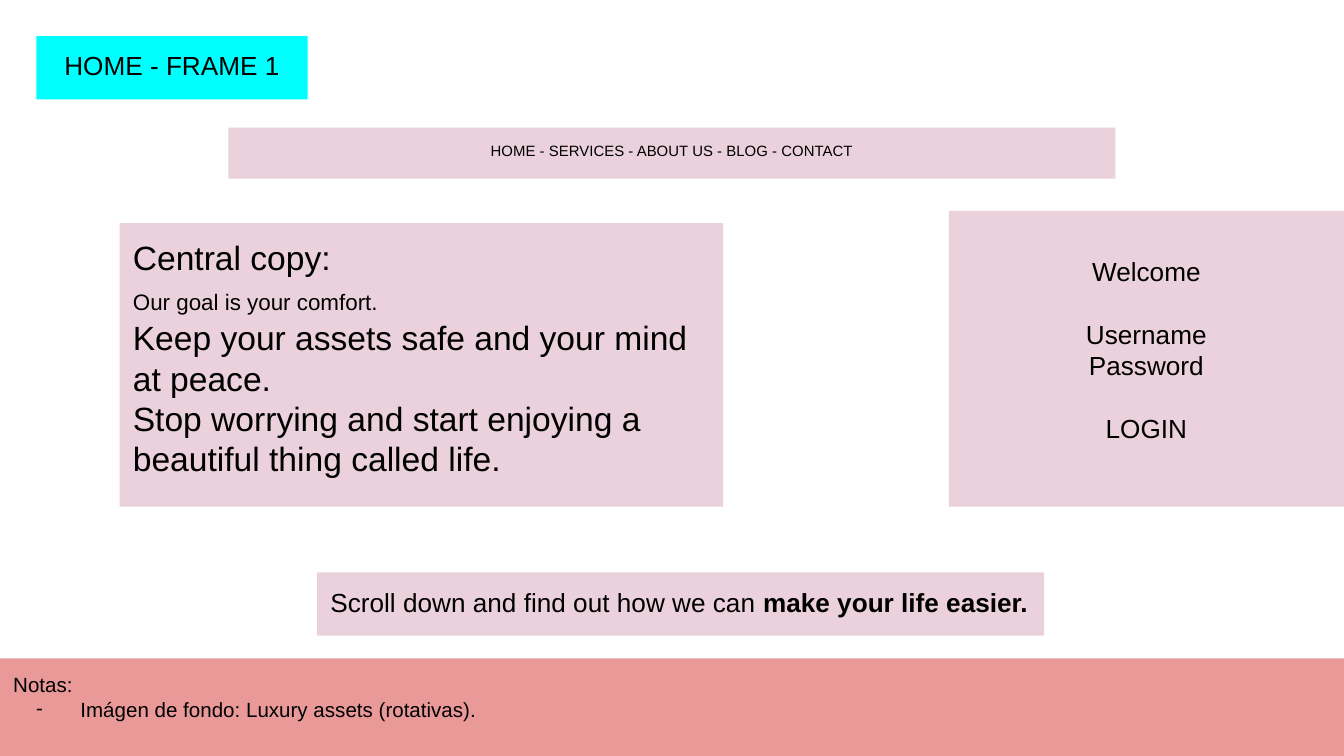
import pptx
import pptx.dml.color
import pptx.enum.shapes
import pptx.enum.text
import pptx.oxml.ns
import pptx.util
from lxml import etree

Inches = pptx.util.Inches
Pt = pptx.util.Pt
RGBColor = pptx.dml.color.RGBColor
ALIGN = pptx.enum.text.PP_ALIGN

BLACK = RGBColor(0x00, 0x00, 0x00)
CYAN = RGBColor(0x00, 0xFF, 0xFF)
PINK = RGBColor(0xEA, 0xD1, 0xDC)
SALMON = RGBColor(0xEA, 0x99, 0x99)

# Widescreen page, 16 to 9
deck = pptx.Presentation()
deck.slide_width = Inches(10)
deck.slide_height = Inches(10 * 9 / 16)
page = deck.slides.add_slide(deck.slide_layouts[6])


def add_box(left, top, width, height, color, lines, size, align=ALIGN.LEFT):
    """Add a filled rectangle with one paragraph per line; return its text frame."""
    box = page.shapes.add_shape(
        pptx.enum.shapes.MSO_SHAPE.RECTANGLE,
        Inches(left), Inches(top), Inches(width), Inches(height))
    box.shadow.inherit = False
    box.fill.solid()
    box.fill.fore_color.rgb = color
    box.line.fill.background()
    frame = box.text_frame
    frame.word_wrap = True
    frame.vertical_anchor = pptx.enum.text.MSO_ANCHOR.TOP
    frame.margin_left = frame.margin_right = Inches(0.1)
    frame.margin_top = frame.margin_bottom = Inches(0.1)
    for index, line in enumerate(lines):
        para = frame.add_paragraph() if index else frame.paragraphs[0]
        para.alignment = align
        para.font.name = "Arial"
        para.font.size = Pt(size)
        para.font.color.rgb = BLACK
        para.add_run().text = line
    return frame


# Frame title and navigation bar
add_box(0.27, 0.27, 2.02, 0.47, CYAN, ["HOME - FRAME 1"], 14, ALIGN.CENTER)
add_box(1.7, 0.95, 6.6, 0.38, PINK,
        ["HOME - SERVICES - ABOUT US - BLOG - CONTACT"], 8, ALIGN.CENTER)

# Central copy: the small goal line keeps the height of a large one
copy_frame = add_box(0.89, 1.66, 4.49, 2.11, PINK, [
    "Central copy:",
    "Our goal is your comfort.",
    "Keep your assets safe and your mind at peace.",
    "Stop worrying and start enjoying a beautiful thing called life.",
], 18)
goal = copy_frame.paragraphs[1]
goal.runs[0].font.size = Pt(12)
span = goal.add_run()
span.text = " "
span.font.size = Pt(18)

# Notes bar with a dash bullet
notes = add_box(0, 4.9, 10, 0.73, SALMON,
                ["Notas:", "Imágen de fondo: Luxury assets (rotativas)."], 11)
properties = notes.paragraphs[1]._p.get_or_add_pPr()
properties.set("marL", str(Inches(0.5)))
properties.set("indent", str(Inches(-0.33)))
bullet_parts = [("a:buSzPts", {"val": "1100"}),
                ("a:buFont", {"typeface": "Arial"}),
                ("a:buChar", {"char": "-"})]
for index, (tag, values) in enumerate(bullet_parts):
    properties.insert(index, etree.Element(pptx.oxml.ns.qn(tag), values))

# Scroll prompt
prompt = add_box(2.36, 4.26, 5.41, 0.47, PINK,
                 ["Scroll down and find out how we can "], 14)
span = prompt.paragraphs[0].add_run()
span.text = "make your life easier."
span.font.bold = True

# Login panel: one line of space above each group
login = add_box(7.06, 1.57, 2.94, 2.2, PINK,
                ["Welcome", "Username", "Password", "LOGIN"], 14, ALIGN.CENTER)
login.margin_top = Inches(0.33)
for index in (1, 3):
    login.paragraphs[index].space_before = Pt(16.8)

deck.save("out.pptx")
